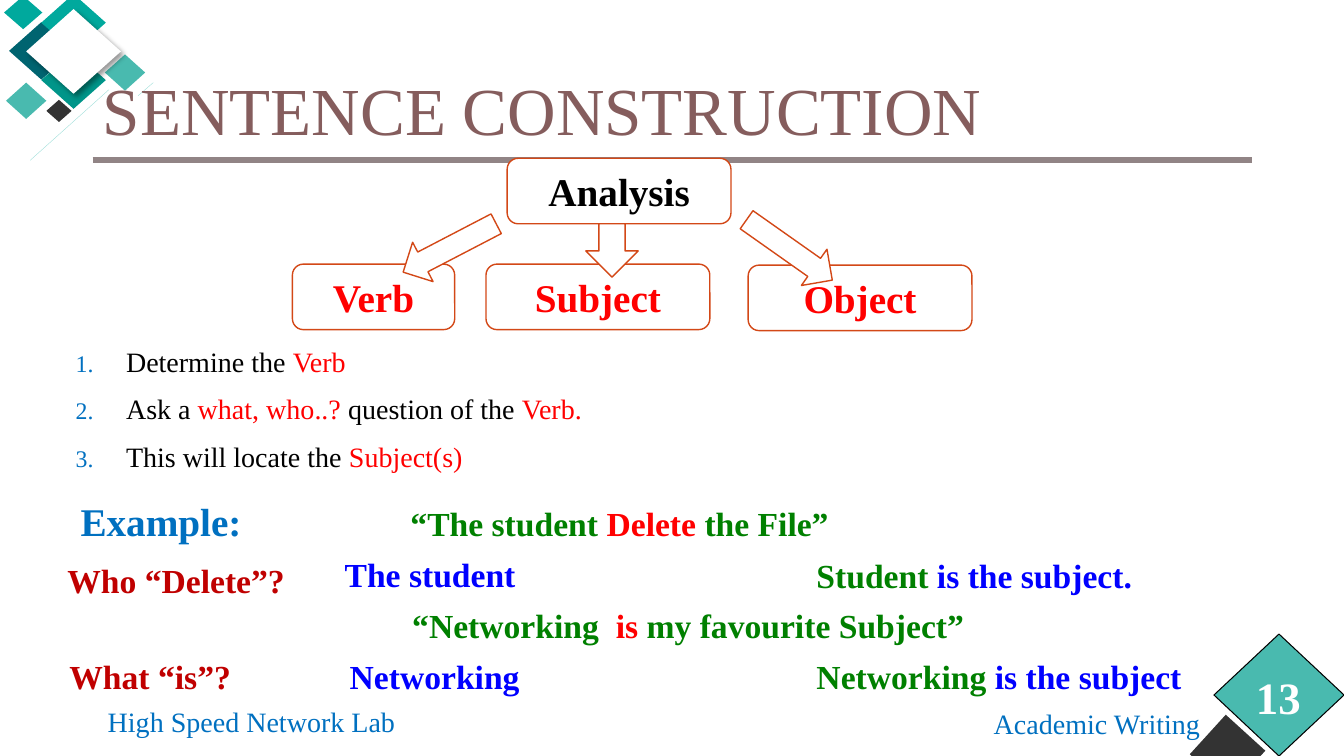
from dataclasses import dataclass

import pptx
import pptx.dml.color
import pptx.enum.shapes
import pptx.enum.text
import pptx.oxml
import pptx.oxml.ns
import pptx.util
from pptx.dml.color import RGBColor
from pptx.enum.shapes import MSO_SHAPE
from pptx.enum.text import MSO_ANCHOR, MSO_AUTO_SIZE, PP_ALIGN
from pptx.util import Inches, Pt

FONT = "Times New Roman"
WHITE = RGBColor(0xFF, 0xFF, 0xFF)
BLACK = RGBColor(0x00, 0x00, 0x00)
CHARCOAL = RGBColor(0x33, 0x33, 0x33)
RED = RGBColor(0xFF, 0x00, 0x00)
DARK_RED = RGBColor(0xC0, 0x00, 0x00)
GREEN = RGBColor(0x00, 0x80, 0x00)
BLUE = RGBColor(0x00, 0x00, 0xFF)
SKY = RGBColor(0x00, 0x70, 0xC0)
ORANGE = RGBColor(0xD3, 0x48, 0x17)
MAUVE = RGBColor(0x85, 0x5D, 0x5D)
GREY = RGBColor(0x91, 0x84, 0x85)
TEAL = RGBColor(0x00, 0xA9, 0x9D)
DEEP_TEAL = RGBColor(0x00, 0x64, 0x70)
MID_TEAL = RGBColor(0x00, 0x95, 0x89)
SOFT_TEAL = RGBColor(0x49, 0xBA, 0xAF)
PALE_TEAL = RGBColor(0x99, 0xDD, 0xD8)

Box = tuple[float, float, float, float]
Runs = list[tuple[str, RGBColor]]


@dataclass
class Diamond:
    box: Box
    fill: RGBColor
    line: RGBColor | None = None
    rotation: float = 0


@dataclass
class Rule:
    start: tuple[float, float]
    end: tuple[float, float]
    color: RGBColor
    width: float


@dataclass
class Node:
    box: Box
    text: str
    color: RGBColor = RED


@dataclass
class Arrow:
    box: Box
    rotation: float = 0


@dataclass
class Label:
    box: Box
    runs: Runs
    size: int = 24
    bold: bool = True
    align: PP_ALIGN = PP_ALIGN.LEFT
    anchor: MSO_ANCHOR = MSO_ANCHOR.TOP
    wrap: bool = False


DIAMONDS = [
    Diamond((11.8, 7.09, 0.75, 0.75), CHARCOAL, rotation=357.3),
    Diamond((12.04, 6.29, 1.29, 1.21), SOFT_TEAL, BLACK),
    Diamond((0.09, 0.22, 0.64, 0.57), DEEP_TEAL),
    Diamond((0.41, -0.06, 0.64, 0.57), TEAL),
    Diamond((0.04, -0.04, 0.38, 0.33), TEAL),
    Diamond((0.41, 0.51, 0.64, 0.57), MID_TEAL),
    Diamond((0.46, 0.99, 0.25, 0.22), CHARCOAL),
    Diamond((1.04, 0.54, 0.4, 0.36), SOFT_TEAL),
    Diamond((0.06, 0.82, 0.4, 0.36), SOFT_TEAL),
]
CENTRE_DIAMOND = Diamond((0.26, 0.09, 0.94, 0.84), WHITE)
RULES = [
    Rule((0.92, 1.59), (12.42, 1.59), GREY, 4.5),
    Rule((1.08, 0.89), (0.3, 1.59), PALE_TEAL, 0.25),
    Rule((1.37, 0.95), (1.52, 0.82), PALE_TEAL, 0.25),
]
NODES = [
    Node((5.03, 1.57, 2.22, 0.65), "Analysis", BLACK),
    Node((2.9, 2.62, 1.61, 0.65), "Verb"),
    Node((4.82, 2.62, 2.22, 0.65), "Subject"),
    Node((7.42, 2.63, 2.22, 0.65), "Object"),
]
ARROWS = [
    Arrow((4.24, 1.94, 0.44, 1.04), 62.5),
    Arrow((7.61, 1.96, 0.44, 1.04), 305.2),
    Arrow((5.81, 2.22, 0.52, 0.53)),
]
STEPS: list[Runs] = [
    [("Determine the ", BLACK), ("Verb", RED)],
    [("Ask a ", BLACK), ("what, who..? ", RED), ("question of the ", BLACK), ("Verb.", RED)],
    [("This will locate the ", BLACK), ("Subject(s)", RED)],
]
LABELS = [
    Label((0.97, 6.93, 3.32, 0.46), [("High Speed Network Lab", SKY)], 20, False,
          anchor=MSO_ANCHOR.MIDDLE, wrap=True),
    Label((9.71, 6.96, 2.34, 0.44), [("Academic Writing", SKY)], 20, False,
          PP_ALIGN.CENTER, wrap=True),
    Label((11.96, 6.53, 1.44, 0.76), [("13", WHITE)], 32, True,
          PP_ALIGN.CENTER, MSO_ANCHOR.MIDDLE, True),
    Label((2.32, 4.94, 7.65, 0.5),
          [("“The student ", GREEN), ("Delete ", RED), ("the File”", GREEN)],
          align=PP_ALIGN.CENTER, wrap=True),
    Label((8, 5.46, 3.36, 0.5), [("Student ", GREEN), ("is the subject.", BLUE)]),
    Label((3.32, 5.45, 1.9, 0.5), [("The student", BLUE)]),
    Label((0.57, 5.51, 2.46, 0.5), [("Who “Delete”?", DARK_RED)]),
    Label((0.7, 4.88, 1.82, 0.57), [("Example:", SKY)], 28),
    Label((3.99, 5.95, 5.75, 0.5),
          [("“Networking  ", GREEN), ("is ", RED), ("my favourite Subject”", GREEN)]),
    Label((0.59, 6.46, 1.9, 0.5), [("What “is”?", DARK_RED)]),
    Label((3.37, 6.46, 1.9, 0.5), [("Networking", BLUE)]),
    Label((8, 6.46, 3.94, 0.5), [("Networking ", GREEN), ("is the subject", BLUE)]),
]


def inches(box: Box) -> list[pptx.util.Length]:
    return [Inches(v) for v in box]


def add_xml(parent, body: str) -> None:
    """Append a DrawingML fragment, written with its opening tag name first."""
    tag, rest = body[1:].split(">", 1)
    ns = pptx.oxml.ns.nsdecls("a")
    name, _, attrs = tag.partition(" ")
    parent.append(pptx.oxml.parse_xml(f"<{name} {ns} {attrs}>{rest}"))


def write(p, runs: Runs, size: int, bold: bool = False) -> None:
    p.font.name, p.font.size, p.font.bold = FONT, Pt(size), bold
    for text, color in runs:
        r = p.add_run()
        r.text = text
        r.font.color.rgb = color


def add_preset(s, kind: MSO_SHAPE, box: Box, fill: RGBColor,
               line: RGBColor | None = None, width: float = 1, rotation: float = 0):
    sp = s.shapes.add_shape(kind, *inches(box))
    sp.shadow.inherit = False
    sp.rotation = rotation
    sp.fill.solid()
    sp.fill.fore_color.rgb = fill
    if line is None:
        sp.line.fill.background()
    else:
        sp.line.color.rgb = line
        sp.line.width = Pt(width)
    return sp


def add_diamond(s, d: Diamond):
    return add_preset(s, MSO_SHAPE.DIAMOND, d.box, d.fill, d.line, 0.75, d.rotation)


def add_rule(s, rule: Rule) -> None:
    points = [Inches(v) for v in rule.start + rule.end]
    c = s.shapes.add_connector(pptx.enum.shapes.MSO_CONNECTOR.STRAIGHT, *points)
    c.line.color.rgb = rule.color
    c.line.width = Pt(rule.width)
    add_xml(c.element.spPr, "<a:effectLst></a:effectLst>")


def add_node(s, node: Node) -> None:
    sp = add_preset(s, MSO_SHAPE.ROUNDED_RECTANGLE, node.box, WHITE, ORANGE)
    sp.text_frame.vertical_anchor = MSO_ANCHOR.MIDDLE
    p = sp.text_frame.paragraphs[0]
    p.alignment = PP_ALIGN.CENTER
    write(p, [(node.text, node.color)], 28, True)


def add_label(s, label: Label) -> None:
    tf = s.shapes.add_textbox(*inches(label.box)).text_frame
    tf.word_wrap = label.wrap
    tf.vertical_anchor = label.anchor
    if not label.wrap:
        tf.auto_size = MSO_AUTO_SIZE.SHAPE_TO_FIT_TEXT
    tf.paragraphs[0].alignment = label.align
    write(tf.paragraphs[0], label.runs, label.size, label.bold)


def place(sp, box: Box, anchor: MSO_ANCHOR):
    """Move a placeholder to its box, in front of what is already drawn."""
    sp.left, sp.top, sp.width, sp.height = inches(box)
    sp.element.getparent().append(sp.element)
    sp.text_frame.auto_size = MSO_AUTO_SIZE.NONE
    sp.text_frame.vertical_anchor = anchor
    return sp.text_frame


def fill_steps(tf) -> None:
    for i, runs in enumerate(STEPS):
        p = tf.add_paragraph() if i else tf.paragraphs[0]
        p.line_spacing = 0.9
        p.space_before = Pt(12 if i else 0)
        pPr = p._p.get_or_add_pPr()
        pPr.set("marL", str(Inches(0.5)))
        pPr.set("indent", str(Inches(-0.5)))
        add_xml(pPr, f'<a:buClr><a:srgbClr val="{SKY}"/></a:buClr>')
        add_xml(pPr, '<a:buSzPct val="85000"></a:buSzPct>')
        add_xml(pPr, '<a:buAutoNum type="arabicPeriod"></a:buAutoNum>')
        write(p, runs, 20)


def main() -> None:
    prs = pptx.Presentation()
    prs.slide_width, prs.slide_height = Inches(13.33), Inches(7.5)
    s = prs.slides.add_slide(prs.slide_layouts[1])
    for rule in RULES:
        add_rule(s, rule)
    for d in DIAMONDS:
        add_diamond(s, d)
    centre = add_diamond(s, CENTRE_DIAMOND)
    centre.element.spPr.remove(centre.element.spPr.find(pptx.oxml.ns.qn("a:effectLst")))
    add_xml(centre.element.spPr,
            f'<a:effectLst><a:outerShdw blurRad="{Pt(4)}" dist="{Pt(3)}" dir="2700000">'
            '<a:srgbClr val="000000"><a:alpha val="40000"/></a:srgbClr>'
            '</a:outerShdw></a:effectLst>')
    for node in NODES:
        add_node(s, node)
    for arrow in ARROWS:
        add_preset(s, MSO_SHAPE.DOWN_ARROW, arrow.box, WHITE, ORANGE, rotation=arrow.rotation)
    title = place(s.shapes.title, (0.92, 0.4, 11.5, 1.45), MSO_ANCHOR.MIDDLE).paragraphs[0]
    title.alignment, title.line_spacing = PP_ALIGN.LEFT, 0.9
    write(title, [("SENTENCE CONSTRUCTION", MAUVE)], 48)
    fill_steps(place(s.placeholders[1], (0.65, 3.41, 7.59, 1.53), MSO_ANCHOR.TOP))
    for label in LABELS:
        add_label(s, label)
    prs.save("out.pptx")


if __name__ == "__main__":
    main()
